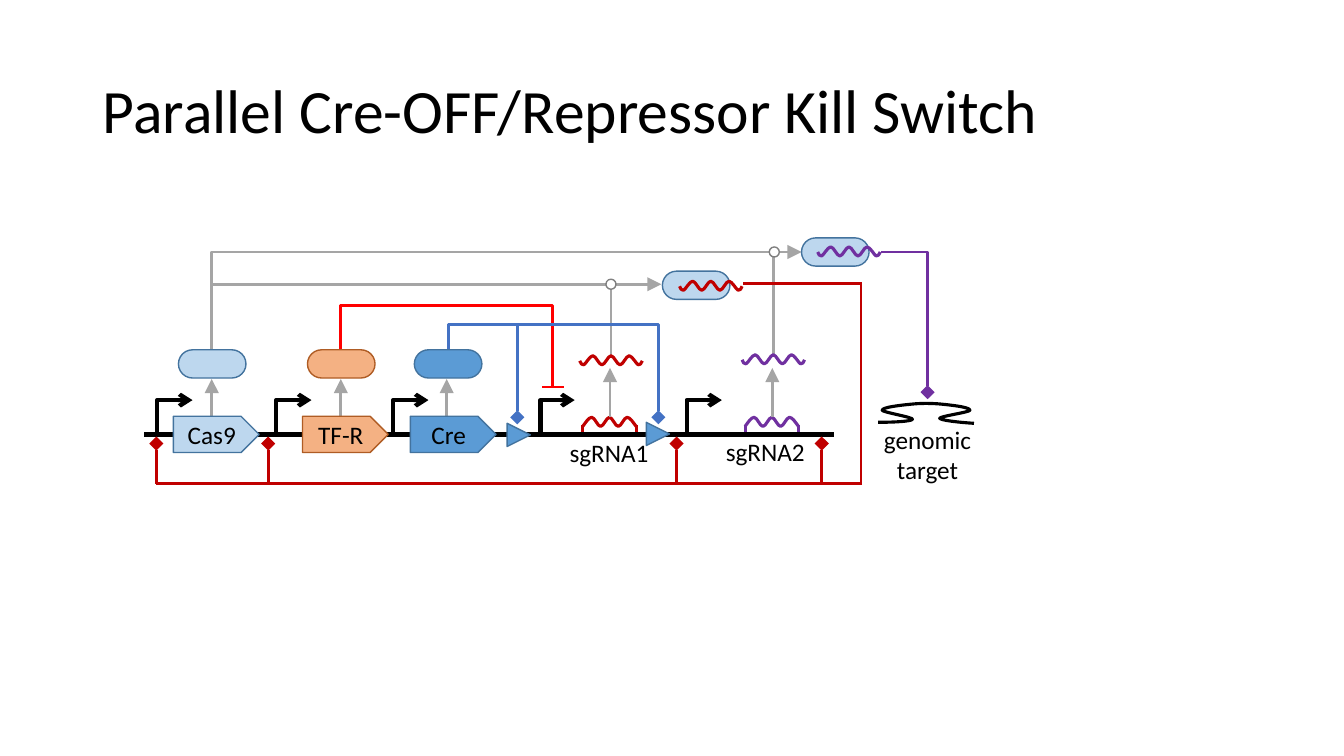
from math import cos, radians, sin

from lxml.etree import SubElement
from pptx import Presentation
from pptx.dml.color import RGBColor
from pptx.enum.shapes import MSO_CONNECTOR as Connector, MSO_SHAPE as Preset
from pptx.enum.text import MSO_ANCHOR as Anchor, MSO_AUTO_SIZE as AutoSize, PP_ALIGN as Align
from pptx.oxml.ns import qn
from pptx.util import Inches, Pt

BLACK = RGBColor(0x00, 0x00, 0x00)
WHITE = RGBColor(0xFF, 0xFF, 0xFF)
GRAY = RGBColor(0xA5, 0xA5, 0xA5)
DARK_GRAY = RGBColor(0x80, 0x80, 0x80)
RED = RGBColor(0xFF, 0x00, 0x00)
DARK_RED = RGBColor(0xC0, 0x00, 0x00)
PURPLE = RGBColor(0x70, 0x30, 0xA0)
ROYAL_BLUE = RGBColor(0x44, 0x72, 0xC4)
BLUE = RGBColor(0x5B, 0x9B, 0xD5)
PALE_BLUE = RGBColor(0xBD, 0xD7, 0xEE)
BLUE_EDGE = RGBColor(0x43, 0x73, 0x9E)
ORANGE = RGBColor(0xF4, 0xB1, 0x83)
ORANGE_EDGE = RGBColor(0xAF, 0x5C, 0x24)

deck = Presentation()
deck.slide_width, deck.slide_height = Inches(13.33), Inches(7.5)
page = deck.slides.add_slide(deck.slide_layouts[5])
shapes = page.shapes


def connect(start, end, color, width=2, head=None, tail=None, bend=None, turn=0, adjust=()):
    """Join two points; bend names an elbow preset whose frame is turned by some degrees."""
    mid_x, mid_y = (start[0] + end[0]) / 2, (start[1] + end[1]) / 2
    c, s = cos(radians(turn)), sin(radians(turn))
    frame = []
    for x, y in (start, end):
        dx, dy = x - mid_x, y - mid_y
        frame += [Inches(mid_x + dx * c + dy * s), Inches(mid_y - dx * s + dy * c)]
    kind = Connector.ELBOW if bend else Connector.STRAIGHT
    line = shapes.add_connector(kind, *frame)
    line.line.color.rgb = color
    line.line.width = Pt(width)
    properties = line._element.spPr
    if bend:
        properties.find(qn("a:xfrm")).set("rot", str(turn * 60000))
        geometry = properties.find(qn("a:prstGeom"))
        geometry.set("prst", bend)
        guides = geometry.find(qn("a:avLst"))
        if guides is None:
            guides = SubElement(geometry, qn("a:avLst"))
        for number, value in enumerate(adjust, 1):
            SubElement(guides, qn("a:gd"), name=f"adj{number}", fmla=f"val {round(value * 100000)}")
    for tag, tip in (("a:headEnd", head), ("a:tailEnd", tail)):
        if tip:
            size = "med" if tip == "arrow" else "lg"
            SubElement(properties.find(qn("a:ln")), qn(tag), type=tip, w=size, len=size)
    SubElement(properties, qn("a:effectLst"))


def trace(points, color):
    """Draw an open cubic curve: a start point, then two controls and an end for each piece."""
    points = [(Inches(x), Inches(y)) for x, y in points]
    builder = shapes.build_freeform(*points[0])
    builder.add_line_segments(points[1:], close=False)
    curve = builder.convert_to_shape()
    curve.fill.background()
    curve.line.color.rgb = color
    curve.line.width = Pt(2.25)
    curve.shadow.inherit = False
    outline = next(curve._element.iter(qn("a:moveTo"))).getparent()
    segments = outline.findall(qn("a:lnTo"))
    for first in range(0, len(segments), 3):
        piece = SubElement(outline, qn("a:cubicBezTo"))
        for segment in segments[first:first + 3]:
            piece.append(segment[0])
            outline.remove(segment)


title = shapes.title
title.left, title.top, title.width, title.height = map(Inches, (0.92, 0.4, 11.5, 1.45))
title.text_frame.text = "Parallel Cre-OFF/Repressor Kill Switch"
title.text_frame.vertical_anchor = Anchor.MIDDLE
title_format = {"name": "Calibri", "size": Pt(44)}
para = title.text_frame.paragraphs[0]
para.alignment = Align.LEFT
para.line_spacing = 0.9
para.font.color.rgb = BLACK
for key, value in title_format.items():
    setattr(para.font, key, value)

# Guide RNA waves: the tail of each wave mirrors its lead
GENE_LEAD = [(0, 0.09), (0.03, 0.05), (0.06, 0), (0.09, 0)]
FREE_LEAD = [(0, 0.05), (0.01, 0.07), (0.02, 0.1), (0.04, 0.09), (0.06, 0.08), (0.1, 0), (0.13, 0)]
gene_waves = [(5.78, 4.14, DARK_RED), (7.39, 4.14, PURPLE)]
free_waves = [(5.75, 3.53, DARK_RED), (7.36, 3.52, PURPLE)]
bound_waves = [(6.74, 2.79, DARK_RED), (8.11, 2.45, PURPLE)]
wave_points = []
for lead, length in ((GENE_LEAD, 0.53), (FREE_LEAD, 0.62)):
    wave = list(lead)
    pitch = (length - 2 * lead[-1][0]) / 4
    for height in (0.09, 0, 0.09, 0):
        x, y = wave[-1]
        wave += [(x + pitch / 3, y), (x + pitch * 2 / 3, height), (x + pitch, height)]
    wave += [(length - x, y) for x, y in lead[-2::-1]]
    wave_points.append(wave)
gene_wave, free_wave = wave_points

for left, top, color in gene_waves:
    right = left + 0.53
    trace([(left + x, top + y) for x, y in gene_wave], color)
    connect((left, 4.22), (left, 4.33), color, 2.25)
    connect((left, 4.32), (right, 4.32), color, 2.25)
    connect((right, 4.22), (right, 4.33), color, 2.25)

# DNA strand and promoters
connect((1.43, 4.31), (8.27, 4.31), BLACK, 3)
for x, adjust in ((1.55, 0.03), (2.73, 0.03), (3.89, 0.03), (5.34, 0.06), (6.8, 0.03)):
    connect((x, 4.3), (x + 0.36, 3.97), BLACK, 3, tail="arrow", bend="bentConnector3", adjust=[adjust])

# Expression arrows and guide complexes
for x in (2.1, 3.38, 4.43):
    connect((x, 4.16), (x, 3.76), GRAY, tail="triangle")
for x in (6.05, 7.66):
    connect((x, 4.14), (x, 3.65), GRAY, tail="triangle")

# Cre and repressor regulation
cre_bend = {"bend": "bentConnector4", "turn": 270, "adjust": (-0.37, 1)}
connect((4.45, 3.47), (5.13, 4.14), ROYAL_BLUE, tail="diamond", **cre_bend)
connect((3.38, 3.47), (5.48, 3.84), RED, bend="bentConnector4", turn=270, adjust=(-1.18, 1))
connect((5.38, 3.84), (5.59, 3.84), RED)
connect((7.67, 3.52), (7.67, 2.55), GRAY)
connect((6.06, 3.53), (6.06, 2.87), GRAY)
connect((2.1, 3.47), (7.63, 2.5), GRAY, bend="bentConnector2", turn=90)
connect((7.69, 2.5), (7.95, 2.5), GRAY, tail="triangle")
connect((2.1, 2.82), (6.38, 2.82), GRAY)
connect((6.32, 2.82), (6.56, 2.82), GRAY, tail="triangle")
connect((5.13, 3.47), (6.53, 4.14), ROYAL_BLUE, tail="diamond", **cre_bend)

# Cutting of the circuit and of the genome
connect((7.37, 2.81), (8.53, 2.81), DARK_RED)
connect((8.54, 2.8), (8.54, 4.81), DARK_RED)
connect((1.55, 4.8), (8.54, 4.8), DARK_RED)
for x in (1.55, 2.66, 6.71, 8.15):
    connect((x, 4.4), (x, 4.8), DARK_RED, head="diamond")
connect((8.74, 2.5), (9.2, 3.89), PURPLE, tail="diamond", bend="bentConnector2")

# Genes, proteins, recombination sites and junctions
gene, pill, site, dot = Preset.PENTAGON, Preset.ROUNDED_RECTANGLE, Preset.ISOSCELES_TRIANGLE, Preset.OVAL
sizes = {gene: (0.85, 0.36), pill: (0.67, 0.28), site: (0.23, 0.23), dot: (0.1, 0.1)}
blocks = [
    (gene, 1.72, 4.13, PALE_BLUE, BLUE_EDGE, "Cas9"),
    (gene, 3, 4.13, ORANGE, ORANGE_EDGE, "TF-R"),
    (gene, 4.07, 4.13, BLUE, BLUE_EDGE, "Cre"),
    (pill, 1.77, 3.47, PALE_BLUE, BLUE_EDGE, ""),
    (pill, 3.05, 3.47, ORANGE, ORANGE_EDGE, ""),
    (pill, 4.11, 3.47, BLUE, BLUE_EDGE, ""),
    (pill, 6.57, 2.69, PALE_BLUE, BLUE_EDGE, ""),
    (pill, 7.95, 2.36, PALE_BLUE, BLUE_EDGE, ""),
    (site, 5.03, 4.2, BLUE, BLUE_EDGE, ""),
    (site, 6.41, 4.19, BLUE, BLUE_EDGE, ""),
    (dot, 6.01, 2.77, WHITE, DARK_GRAY, ""),
    (dot, 7.63, 2.45, WHITE, DARK_GRAY, ""),
]
label_format = {"name": "Calibri", "size": Pt(18)}
for preset, left, top, fill, edge, name in blocks:
    block = shapes.add_shape(preset, *map(Inches, (left, top, *sizes[preset])))
    block.shadow.inherit = False
    block.fill.solid()
    block.fill.fore_color.rgb = fill
    block.line.color.rgb = edge
    block.line.width = Pt(1)
    if preset == pill:
        block.adjustments[0] = 0.5
    if preset == site:
        block.rotation = 90
    if name:
        block.text_frame.text = name
        block.text_frame.vertical_anchor = Anchor.MIDDLE
        para = block.text_frame.paragraphs[0]
        para.alignment = Align.CENTER
        para.font.color.rgb = BLACK
        for key, value in label_format.items():
            setattr(para.font, key, value)

for left, top, color in free_waves + bound_waves:
    trace([(left + x, top + y) for x, y in free_wave], color)

trace([
    (8.71, 4.19),
    (8.88, 4.19), (9.04, 4.18), (9.05, 4.16),
    (9.06, 4.14), (8.75, 4.09), (8.75, 4.07),
    (8.75, 4.04), (8.94, 4.02), (9.04, 4.01),
    (9.13, 4), (9.24, 4), (9.34, 4.01),
    (9.44, 4.02), (9.62, 4.04), (9.62, 4.07),
    (9.62, 4.09), (9.32, 4.13), (9.32, 4.15),
    (9.33, 4.17), (9.5, 4.19), (9.66, 4.2),
], BLACK)

for text, left, top, width, height, alignment in (
    ("sgRNA1", 5.55, 4.29, 0.99, 0.4, Align.LEFT),
    ("sgRNA2", 7.1, 4.28, 0.99, 0.4, Align.LEFT),
    ("genomic\ntarget", 8.66, 4.16, 1.08, 0.71, Align.CENTER),
):
    box = shapes.add_textbox(*map(Inches, (left, top, width, height)))
    box.text_frame.text = text
    box.text_frame.word_wrap = False
    box.text_frame.auto_size = AutoSize.SHAPE_TO_FIT_TEXT
    for para in box.text_frame.paragraphs:
        para.alignment = alignment
        para.font.color.rgb = BLACK
        for key, value in label_format.items():
            setattr(para.font, key, value)

deck.save("out.pptx")
